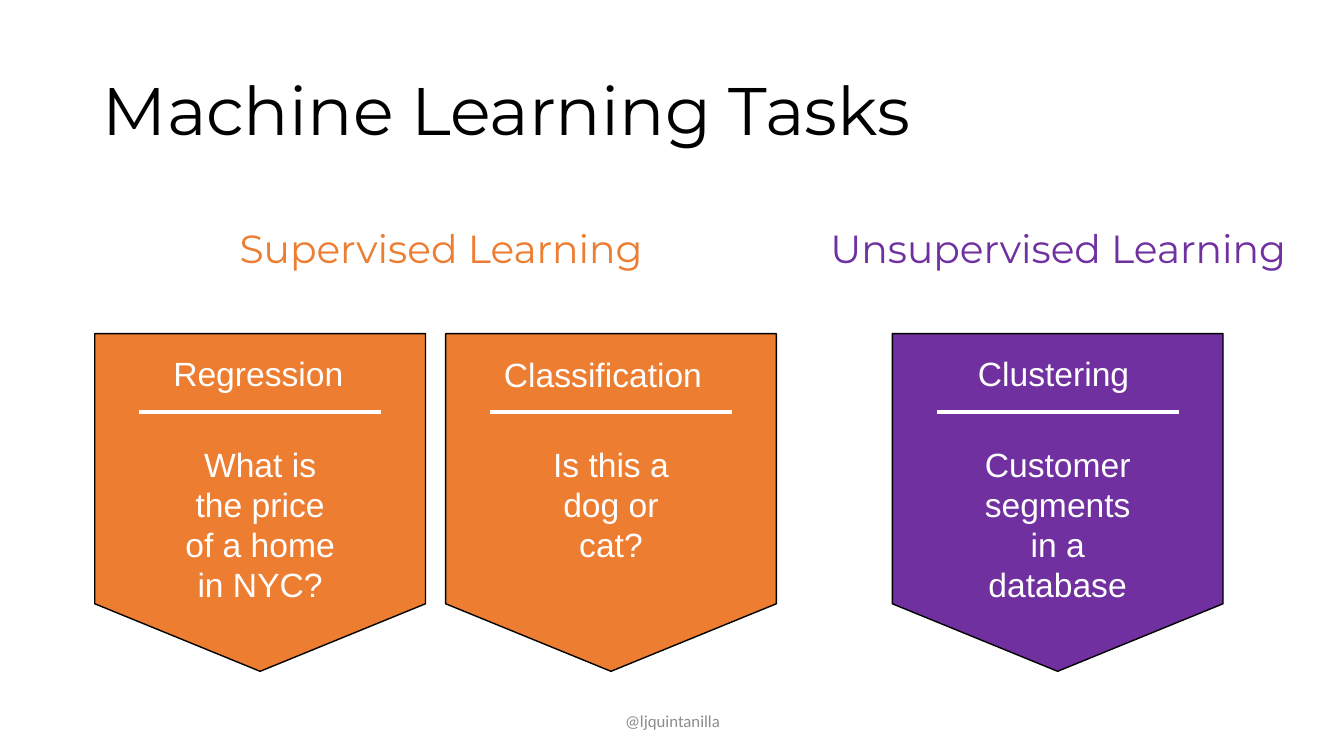
from dataclasses import dataclass

from lxml.etree import SubElement
from pptx import Presentation
from pptx.dml.color import RGBColor
from pptx.enum.shapes import MSO_CONNECTOR, MSO_SHAPE
from pptx.enum.text import MSO_ANCHOR, MSO_AUTO_SIZE, PP_ALIGN
from pptx.oxml.ns import qn
from pptx.util import Emu, Pt

BLACK = RGBColor(0x00, 0x00, 0x00)
WHITE = RGBColor(0xFF, 0xFF, 0xFF)
GREY = RGBColor(0x8C, 0x8C, 0x8C)
ORANGE = RGBColor(0xED, 0x7D, 0x31)
PURPLE = RGBColor(0x70, 0x30, 0xA0)

PX = 9144  # 100 px to the inch


@dataclass(frozen=True)
class Box:
    left: int
    top: int
    width: int
    height: int

    def emu(self) -> tuple[Emu, ...]:
        return tuple(Emu(side * PX) for side in (self.left, self.top, self.width, self.height))


@dataclass(frozen=True)
class Family:
    name: str
    box: Box
    color: RGBColor


@dataclass(frozen=True)
class Task:
    name: str
    name_box: Box
    question: str
    lines: int
    left: int
    color: RGBColor
    filled_labels: bool


FAMILIES = [
    Family("Supervised Learning", Box(92, 218, 691, 55), ORANGE),
    Family("Unsupervised Learning", Box(782, 218, 535, 55), PURPLE),
]
TASKS = [
    Task("Regression", Box(162, 345, 191, 50),
         "What is the price of a home in NYC?", 4, 94, ORANGE, True),
    Task("Classification", Box(490, 346, 219, 50),
         "Is this a dog or cat?", 3, 442, ORANGE, True),
    Task("Clustering", Box(960, 345, 172, 50),
         "Customer segments in a database", 4, 885, PURPLE, False),
]


def write(shape, text: str, *, size: int, font: str, color: RGBColor,
          align=PP_ALIGN.CENTER, anchor=MSO_ANCHOR.MIDDLE, wrap: bool = True,
          grow: bool = False, line_spacing: float = 1.0) -> None:
    frame = shape.text_frame
    frame.auto_size = MSO_AUTO_SIZE.SHAPE_TO_FIT_TEXT if grow else MSO_AUTO_SIZE.NONE
    frame.word_wrap = wrap
    frame.vertical_anchor = anchor
    para = frame.paragraphs[0]
    para.alignment = align
    para.line_spacing = line_spacing
    span = para.add_run()
    span.text = text
    span.font.size = Pt(size)
    span.font.name = font
    span.font.color.rgb = color


def add_label(shapes, box: Box, text: str, *, fill: RGBColor | None = None,
              line: RGBColor | None = None, **text_format) -> None:
    label = shapes.add_textbox(*box.emu())
    if fill is not None:
        label.fill.solid()
        label.fill.fore_color.rgb = fill
    if line is not None:
        label.line.color.rgb = line
        label.line.width = Pt(1)
    write(label, text, **text_format)


def add_rule(shapes, left: int, top: int, width: int) -> None:
    start, level, end = (Emu(side * PX) for side in (left, top, left + width))
    rule = shapes.add_connector(MSO_CONNECTOR.STRAIGHT, start, level, end, level)
    rule.line.color.rgb = WHITE
    rule.line.width = Pt(3)
    SubElement(rule.line._get_or_add_ln().getparent(), qn("a:effectLst"))


def add_task(page, task: Task) -> None:
    shapes = page.shapes.add_group_shape().shapes

    # Pennant
    pennant = shapes.add_shape(MSO_SHAPE.FLOWCHART_OFFPAGE_CONNECTOR,
                               *Box(task.left, 331, 328, 335).emu())
    pennant.shadow.inherit = False
    pennant.fill.solid()
    pennant.fill.fore_color.rgb = task.color
    pennant.line.color.rgb = BLACK
    pennant.line.width = Pt(1)

    # Name, rule and example question
    add_rule(shapes, task.left + 44, 409, 240)
    fill = task.color if task.filled_labels else None
    label_format = dict(fill=fill, size=24, font="Arial", color=WHITE,
                        anchor=MSO_ANCHOR.TOP, grow=True)
    add_label(shapes, task.name_box, task.name,
              align=PP_ALIGN.LEFT, wrap=False, **label_format)
    question_box = Box(task.left + 74, 435, 180, 10 + 40 * task.lines)
    add_label(shapes, question_box, task.question, **label_format)


def main() -> None:
    deck = Presentation()
    deck.slide_width, deck.slide_height = Emu(1333 * PX), Emu(750 * PX)
    page = deck.slides.add_slide(deck.slide_layouts[5])

    # Title
    title = page.shapes.title
    title.left, title.top, title.width, title.height = Box(92, 40, 1150, 145).emu()
    write(title, "Machine Learning Tasks", size=48, font="Montserrat", color=BLACK,
          align=PP_ALIGN.LEFT, line_spacing=0.9)

    # Footer
    add_label(page.shapes, Box(442, 695, 450, 40), "@ljquintanilla",
              size=12, font="Calibri", color=GREY)

    # Learning families
    for family in FAMILIES:
        add_label(page.shapes, family.box, family.name, line=WHITE,
                  size=28, font="Montserrat", color=family.color)

    # Task pennants
    for task in TASKS:
        add_task(page, task)

    deck.save("out.pptx")


if __name__ == "__main__":
    main()
